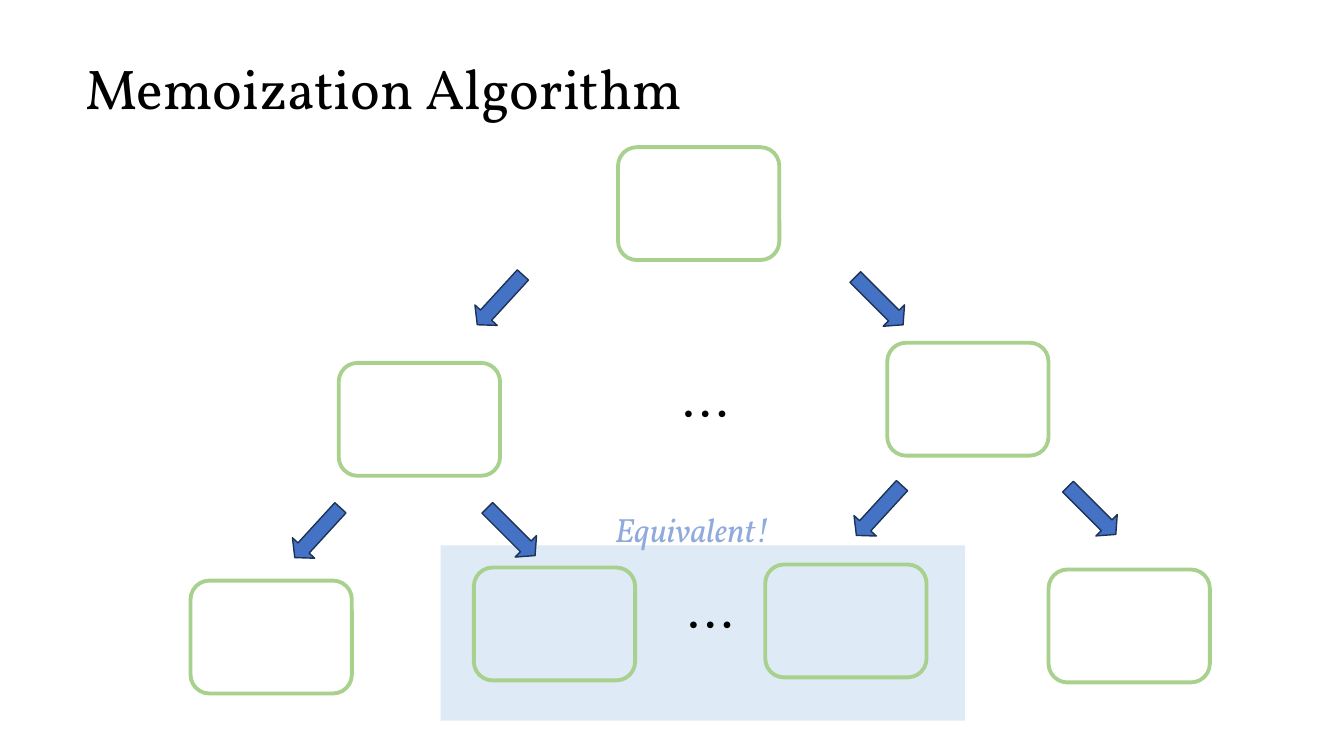
"""Build the memoization slide: a call tree whose two middle leaves coincide."""
from dataclasses import dataclass

from lxml.etree import SubElement
from pptx import Presentation
from pptx.dml.color import RGBColor as RGB
from pptx.enum.shapes import MSO_SHAPE as Kind
from pptx.enum.text import MSO_ANCHOR as Anchor, MSO_AUTO_SIZE as Fit, PP_ALIGN as Align
from pptx.oxml.ns import qn
from pptx.util import Inches, Pt


@dataclass(frozen=True)
class Theme:
    ink: RGB = RGB.from_string("000000")
    band: RGB = RGB.from_string("DEEBF7")
    node: RGB = RGB.from_string("A9D18E")
    arrow: RGB = RGB.from_string("4472C4")
    edge: RGB = RGB.from_string("1E3256")
    note: RGB = RGB.from_string("8FAADC")
    serif: str = "Vollkorn"
    sans: str = "Noto Sans CJK SC"
    title: int = 40
    dots: int = 36
    label: int = 24


theme = Theme()
deck = Presentation()
deck.slide_width, deck.slide_height = Inches(13.33), Inches(7.5)
slide = deck.slides.add_slide(deck.slide_layouts[5])


def add_form(kind, left, top, width, height):
    form = slide.shapes.add_shape(
        kind, Inches(left), Inches(top), Inches(width), Inches(height))
    form.shadow.inherit = False
    return form


def add_run(para, text, face, size, color):
    run = para.add_run()
    run.text = text
    font = run.font
    font.name, font.size = face, Pt(size)
    font.color.rgb = color
    SubElement(font._element, qn("a:ea")).set("typeface", face)
    return font


title = slide.shapes.title
title.left, title.top = Inches(0.75), Inches(0.18)
title.width, title.height = Inches(11.5), Inches(1.45)
title.text_frame.vertical_anchor = Anchor.MIDDLE
head = title.text_frame.paragraphs[0]
head.alignment = Align.LEFT
head.line_spacing = 0.9
add_run(head, "Memoization Algorithm", theme.serif, theme.title, theme.ink)

band = add_form(Kind.RECTANGLE, 4.37, 5.41, 5.2, 1.74)
band.fill.solid()
band.fill.fore_color.rgb = theme.band
band.line.fill.background()

nodes = [
    (6.13, 1.46),
    (3.36, 3.6), (8.8, 3.4),
    (1.89, 5.76), (4.7, 5.63), (7.59, 5.6), (10.4, 5.65),
]
for left, top in nodes:
    node = add_form(Kind.ROUNDED_RECTANGLE, left, top, 1.6, 1.12)
    node.fill.background()
    node.line.color.rgb = theme.node
    node.line.width = Pt(2.75)

forks = [
    ((4.81, 2.64), (8.57, 2.65)),
    ((3, 4.95), (4.92, 4.94)),
    ((8.57, 4.73), (10.68, 4.73)),
]
for fork in forks:
    for (left, top), turn in zip(fork, (42.5, 315)):
        arrow = add_form(Kind.DOWN_ARROW, left, top, 0.3, 0.67)
        arrow.adjustments[0], arrow.adjustments[1] = 0.5, 0.43
        arrow.rotation = turn
        arrow.fill.solid()
        arrow.fill.fore_color.rgb = theme.arrow
        arrow.line.color.rgb = theme.edge
        arrow.line.width = Pt(1)

dots = ("…", theme.sans, theme.dots, theme.ink)
label = ("Equivalent!", theme.serif, theme.label, theme.note)
notes = [
    (6.7, 5.84, 0.55, 0.71, dots, False),
    (6, 5, 1.8, 0.5, label, True),
    (6.65, 3.75, 0.55, 0.71, dots, False),
]
for left, top, width, height, words, slant in notes:
    box = slide.shapes.add_textbox(
        Inches(left), Inches(top), Inches(width), Inches(height))
    frame = box.text_frame
    frame.word_wrap = False
    frame.auto_size = Fit.SHAPE_TO_FIT_TEXT
    font = add_run(frame.paragraphs[0], *words)
    font.italic = slant

deck.save("out.pptx")
